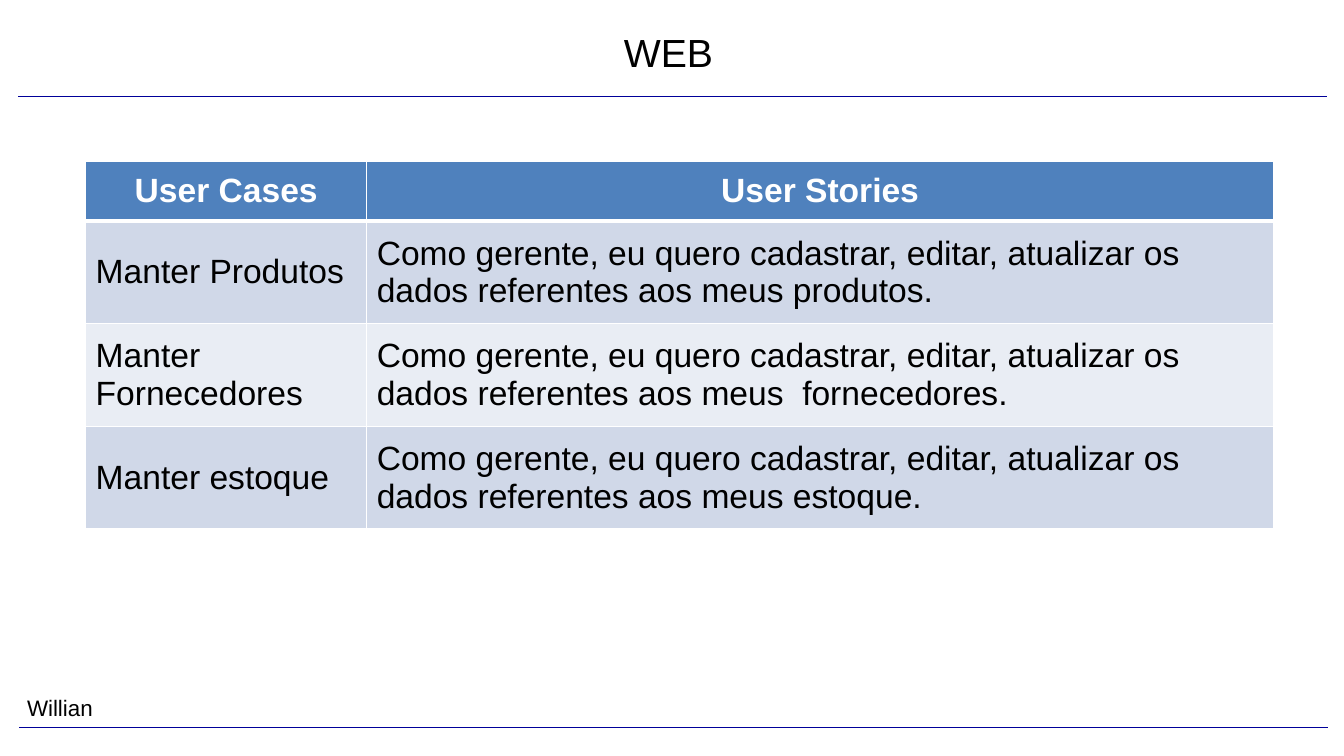
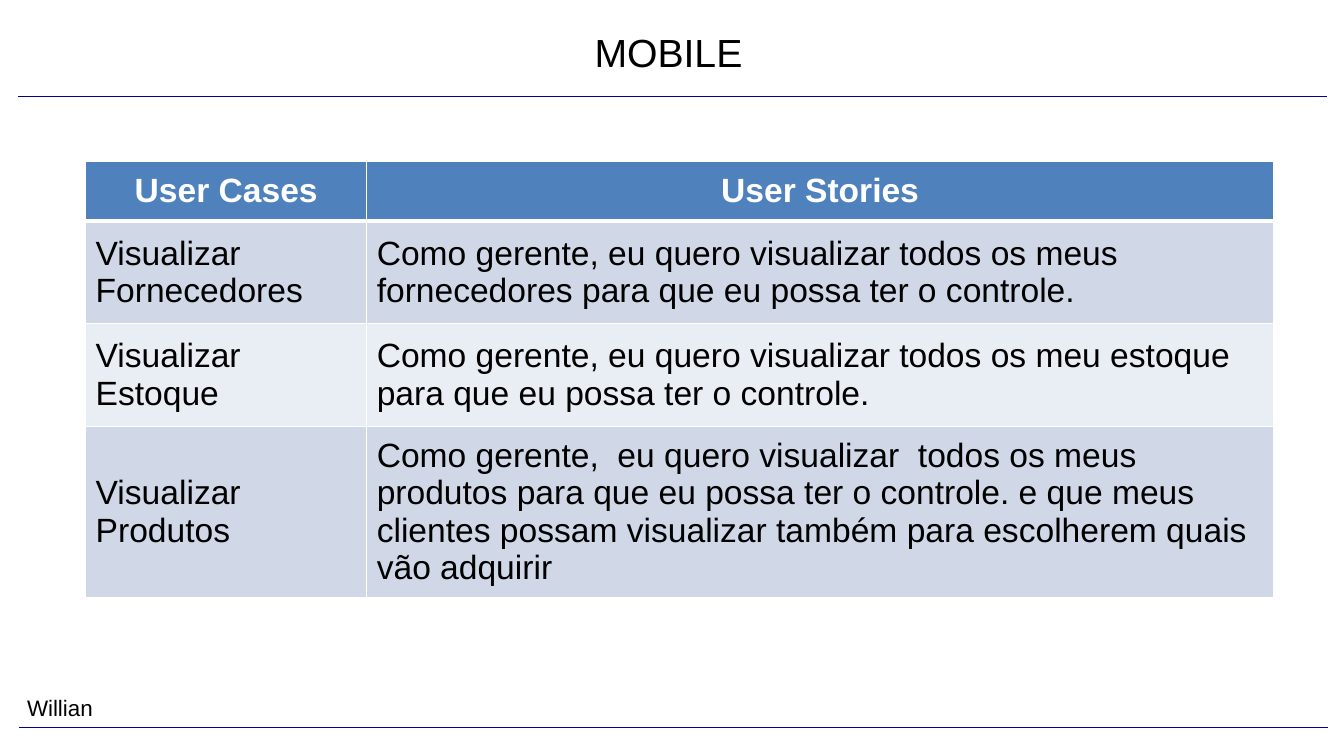
from lxml import etree
from pptx import Presentation
from pptx.dml.color import RGBColor
from pptx.enum.shapes import MSO_CONNECTOR as Connector
from pptx.enum.text import MSO_ANCHOR as Anchor, PP_ALIGN as Align
from pptx.oxml.ns import qn
from pptx.util import Inches, Pt

# Content
AUTHOR = "Willian"
HEADINGS = ("User Cases", "User Stories")
WEB_STORY = "Como gerente, eu quero cadastrar, editar, atualizar os dados referentes aos meus "
SLIDES = [
    {
        "title": "WEB",
        "rows": [
            ("Manter Produtos", WEB_STORY + "produtos."),
            ("Manter Fornecedores", WEB_STORY + " fornecedores."),
            ("Manter estoque", WEB_STORY + "estoque."),
        ],
        "heights": (0.59, 1.02, 1.02, 1.02),
    },
    {
        "title": "MOBILE",
        "rows": [
            ("Visualizar Fornecedores",
             "Como gerente, eu quero visualizar todos os meus fornecedores "
             "para que eu possa ter o controle."),
            ("Visualizar Estoque",
             "Como gerente, eu quero visualizar todos os meu estoque "
             "para que eu possa ter o controle."),
            ("Visualizar Produtos",
             "Como gerente,  eu quero visualizar  todos os meus produtos "
             "para que eu possa ter o controle. e que meus clientes possam "
             "visualizar também para escolherem quais vão adquirir"),
        ],
        "heights": (0.59, 1.02, 1.02, 1.7),
    },
]

# Shared look
BLACK = RGBColor(0x00, 0x00, 0x00)
WHITE = RGBColor(0xFF, 0xFF, 0xFF)
NAVY = RGBColor(0x00, 0x00, 0x99)
HEADER_BLUE = RGBColor(0x4F, 0x81, 0xBD)
BANDS = (RGBColor(0xD0, 0xD8, 0xE8), RGBColor(0xE9, 0xED, 0xF4))

TITLE = {"name": "Arial", "size": Pt(28)}
FOOTER = {"name": "Arial", "size": Pt(16)}
HEADING = {"name": "Arial", "size": Pt(24), "bold": True}
BODY = {"name": "Arial", "size": Pt(24), "bold": False}

# Places, in inches
WIDTH, HEIGHT = 13.34, 7.5
RULES = ((0.18, 0.96), (0.19, 7.22))
RULE_LENGTH = 12.99
TITLE_BOX = (1.95, 0.23, 9.37, 0.57)
FOOTER_BOX = (0.17, 6.84, 2.77, 0.37)
TABLE_LEFT, TABLE_TOP = 0.85, 1.6
COLUMNS = (2.79, 9)


def write(frame, text, style, color=BLACK, align=Align.LEFT):
    para = frame.paragraphs[0]
    para.alignment = align
    span = para.add_run()
    span.text = text
    for name, value in style.items():
        setattr(span.font, name, value)
    span.font.color.rgb = color


def add_text(page, place, text, style, align=Align.LEFT):
    box = page.shapes.add_textbox(*map(Inches, place))
    box.text_frame.word_wrap = True
    write(box.text_frame, text, style, align=align)


def add_rule(page, left, top):
    rule = page.shapes.add_connector(
        Connector.STRAIGHT, *map(Inches, (left, top, left + RULE_LENGTH, top)))
    rule.line.color.rgb = NAVY
    rule.line.width = Pt(0.75)
    etree.SubElement(rule._element.spPr, qn("a:effectLst"))


def set_borders(cell, top, bottom):
    """Draw white borders; the fill must be set afterwards."""
    props = cell._tc.get_or_add_tcPr()
    for side, width in (("L", 1), ("R", 1), ("T", top), ("B", bottom)):
        line = etree.SubElement(props, qn(f"a:ln{side}"), w=str(Pt(width)))
        fill = etree.SubElement(line, qn("a:solidFill"))
        etree.SubElement(fill, qn("a:srgbClr"), val=str(WHITE))


def add_stories(page, rows, heights):
    cells = [HEADINGS, *rows]
    table = page.shapes.add_table(
        len(cells), len(COLUMNS), Inches(TABLE_LEFT), Inches(TABLE_TOP),
        Inches(sum(COLUMNS)), Inches(sum(heights))).table
    for column, width in zip(table.columns, COLUMNS):
        column.width = Inches(width)
    for r, (texts, height) in enumerate(zip(cells, heights)):
        table.rows[r].height = Inches(height)
        for c, text in enumerate(texts):
            cell = table.cell(r, c)
            cell.vertical_anchor = Anchor.MIDDLE
            set_borders(cell, top=3 if r == 1 else 1, bottom=3 if r == 0 else 1)
            cell.fill.solid()
            if r == 0:
                cell.fill.fore_color.rgb = HEADER_BLUE
                write(cell.text_frame, text, HEADING, WHITE, Align.CENTER)
            else:
                cell.fill.fore_color.rgb = BANDS[(r - 1) % 2]
                write(cell.text_frame, text, BODY)


def main():
    deck = Presentation()
    deck.slide_width, deck.slide_height = Inches(WIDTH), Inches(HEIGHT)
    for content in SLIDES:
        page = deck.slides.add_slide(deck.slide_layouts[6])
        for left, top in RULES:
            add_rule(page, left, top)
        add_text(page, FOOTER_BOX, AUTHOR, FOOTER)
        add_text(page, TITLE_BOX, content["title"], TITLE, Align.CENTER)
        add_stories(page, content["rows"], content["heights"])
    deck.save("out.pptx")


if __name__ == "__main__":
    main()
